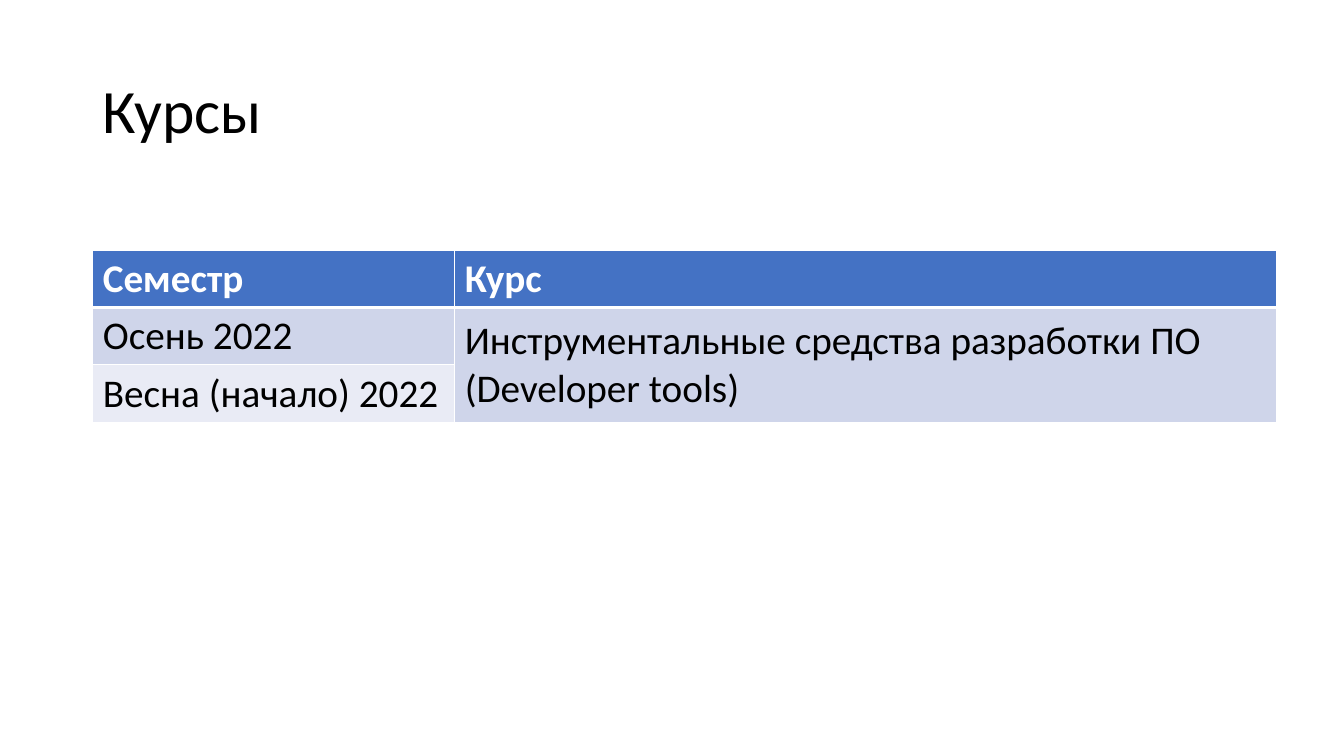
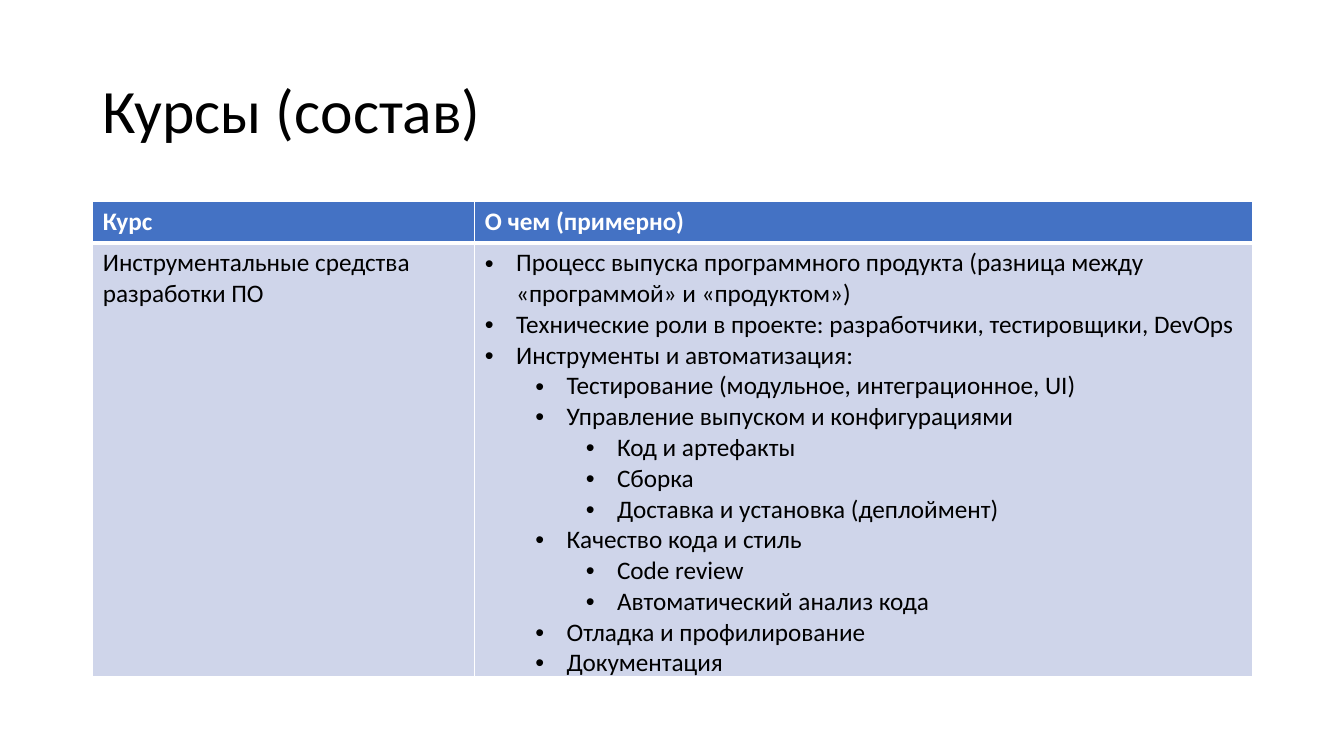
import pptx
import pptx.util
import pptx.dml.color
import pptx.enum.text
import pptx.oxml.ns
from lxml import etree

Inches, Pt = pptx.util.Inches, pptx.util.Pt
RGBColor = pptx.dml.color.RGBColor
MIDDLE = pptx.enum.text.MSO_ANCHOR.MIDDLE
qn = pptx.oxml.ns.qn

FONT = "Calibri"
BLACK = RGBColor(0x00, 0x00, 0x00)
WHITE = RGBColor(0xFF, 0xFF, 0xFF)
HEADER = RGBColor(0x44, 0x72, 0xC4)
BANDS = [RGBColor(0xCF, 0xD5, 0xEA), RGBColor(0xE9, 0xEB, 0xF5)]
LEFT = 0.92
INDENT, LEVEL_STEP = 0.31, 0.5


def add_run(p, text, size, color, bold=False):
    r = p.add_run()
    r.text = text
    r.font.name = FONT
    r.font.size = Pt(size)
    r.font.bold = bold
    r.font.color.rgb = color


def style_cell(cell, row):
    # The line under the header is thicker than the others
    tcPr = cell._tc.get_or_add_tcPr()
    widths = {"lnL": 1, "lnR": 1, "lnT": 3 if row == 1 else 1, "lnB": 3 if row == 0 else 1}
    for side, width in widths.items():
        ln = etree.SubElement(tcPr, qn("a:" + side), w=str(Pt(width)))
        solid = etree.SubElement(ln, qn("a:solidFill"))
        etree.SubElement(solid, qn("a:srgbClr"), val=str(WHITE))
    cell.fill.solid()
    cell.fill.fore_color.rgb = BANDS[(row - 1) % 2] if row else HEADER


# Content: a cell is a list of (level, text), level None means no bullet
slides = [
    {
        "title": "Курсы", "top": 2.48, "size": 28,
        "cols": [3.59, 8.15], "rows": [0.57, 0.57, 0.57], "merge": True,
        "cells": [
            [[(None, "Семестр")], [(None, "Курс")]],
            [[(None, "Осень 2022")],
             [(None, "Инструментальные средства разработки ПО (Developer tools)")]],
            [[(None, "Весна (начало) 2022")], []],
        ],
    },
    {
        "title": "Курсы (состав)", "top": 2, "size": 18,
        "cols": [3.79, 7.71], "rows": [0.41, 4.3], "merge": False,
        "cells": [
            [[(None, "Курс")], [(None, "О чем (примерно)")]],
            [[(None, "Инструментальные средства разработки ПО")],
             [(0, "Процесс выпуска программного продукта (разница между «программой» и «продуктом»)"),
              (0, "Технические роли в проекте: разработчики, тестировщики, DevOps"),
              (0, "Инструменты и автоматизация:"),
              (1, "Тестирование (модульное, интеграционное, UI)"),
              (1, "Управление выпуском и конфигурациями"),
              (2, "Код и артефакты"),
              (2, "Сборка"),
              (2, "Доставка и установка (деплоймент)"),
              (1, "Качество кода и стиль"),
              (2, "Code review"),
              (2, "Автоматический анализ кода"),
              (1, "Отладка и профилирование"),
              (1, "Документация")]],
        ],
    },
]

prs = pptx.Presentation()
prs.slide_width = Inches(13.33)
prs.slide_height = Inches(7.5)

for item in slides:
    s = prs.slides.add_slide(prs.slide_layouts[6])

    # Title
    tf = s.shapes.add_textbox(Inches(LEFT), Inches(0.4), Inches(11.5), Inches(1.45)).text_frame
    tf.word_wrap = True
    tf.vertical_anchor = MIDDLE
    p = tf.paragraphs[0]
    p.line_spacing = 0.9
    add_run(p, item["title"], 44, BLACK)

    # Table grid
    cols, rows = item["cols"], item["rows"]
    table = s.shapes.add_table(len(rows), len(cols), Inches(LEFT), Inches(item["top"]),
                               Inches(sum(cols)), Inches(sum(rows))).table
    for column, width in zip(table.columns, cols):
        column.width = Inches(width)
    for row, height in zip(table.rows, rows):
        row.height = Inches(height)

    # Cells
    for i, line in enumerate(item["cells"]):
        for j, paragraphs in enumerate(line):
            cell = table.cell(i, j)
            style_cell(cell, i)
            tf = cell.text_frame
            for n, (level, text) in enumerate(paragraphs):
                p = tf.add_paragraph() if n else tf.paragraphs[0]
                if level is not None:
                    p.level = level
                    pPr = p._p.get_or_add_pPr()
                    pPr.set("marL", str(Inches(INDENT + level * LEVEL_STEP)))
                    pPr.set("indent", str(Inches(-INDENT)))
                    etree.SubElement(pPr, qn("a:buFont"), typeface="Arial")
                    etree.SubElement(pPr, qn("a:buChar"), char="•")
                add_run(p, text, item["size"], BLACK if i else WHITE, bold=i == 0)

    # One course spans both semesters
    if item["merge"]:
        table.cell(1, 1).merge(table.cell(2, 1))
        table.cell(1, 1).vertical_anchor = MIDDLE

prs.save("out.pptx")
